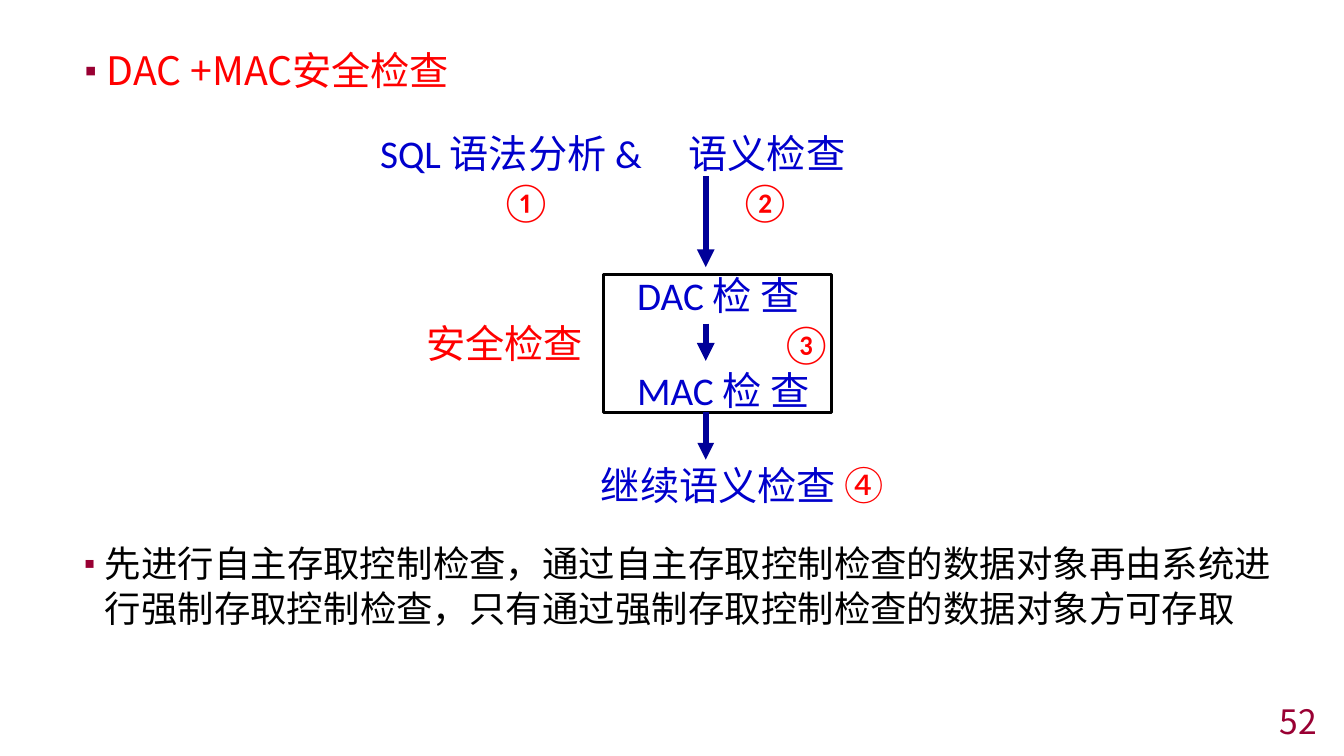
import pptx
import pptx.util
import pptx.dml.color
import pptx.enum.shapes
import pptx.enum.text
import pptx.oxml.ns
from lxml import etree

Inches, Pt = pptx.util.Inches, pptx.util.Pt
Align = pptx.enum.text.PP_ALIGN
qn = pptx.oxml.ns.qn

HUES = {"red": "FF0000", "blue": "0000CC", "navy": "000099",
        "wine": "990033", "black": "000000"}
SANS, SERIF, LATIN = "Noto Sans CJK SC", "Times New Roman", "Calibri"


def tint(name):
    return pptx.dml.color.RGBColor.from_string(HUES[name])


def text(runs, left, mid, width, size=28, font=LATIN, high=0.56,
         align=Align.LEFT, pitch=None, bullet=False):
    """Add a text box centred on height mid; runs are (words, hue[, font])."""
    box = slide.shapes.add_textbox(Inches(left), Inches(mid - high / 2),
                                   Inches(width), Inches(high))
    frame = box.text_frame
    frame.word_wrap = True
    frame.margin_left = frame.margin_right = 0
    frame.margin_top = frame.margin_bottom = 0
    frame.vertical_anchor = pptx.enum.text.MSO_ANCHOR.MIDDLE
    para = frame.paragraphs[0]
    para.alignment = align
    if pitch:
        para.line_spacing = Pt(pitch)
    for words, hue, *face in runs:
        run = para.add_run()
        run.text = words
        run.font.size = Pt(size)
        run.font.name = face[0] if face else font
        run.font.color.rgb = tint(hue)
        etree.SubElement(run.font._element, qn("a:ea"), typeface=SANS)
    if bullet:
        props = para._p.get_or_add_pPr()
        props.set("marL", str(Inches(0.29)))
        props.set("indent", str(Inches(-0.29)))
        color = etree.SubElement(props, qn("a:buClr"))
        etree.SubElement(color, qn("a:srgbClr"), val=HUES["wine"])
        etree.SubElement(props, qn("a:buSzPct"), val="80000")
        etree.SubElement(props, qn("a:buFont"), typeface=SANS)
        etree.SubElement(props, qn("a:buChar"), char="▪")


deck = pptx.Presentation()
deck.slide_width, deck.slide_height = Inches(13.33), Inches(7.5)
slide = deck.slides.add_slide(deck.slide_layouts[6])

# Heading and closing point
text([("DAC +MAC安全检查", "red")], 0.75, 0.69, 12, font=SANS, bullet=True)
parts = ["先进行", "自主存取控制", "检查，通过", "自主存取控制",
         "检查的数据对象再由系统进行", "强制存取控制", "检查，只有通过",
         "强制存取控制", "检查的数据对象方可存取"]
text([(part, "black", (SERIF, SANS)[i % 2]) for i, part in enumerate(parts)],
     0.75, 5.8, 12.07, size=26, high=0.89, pitch=32, bullet=True)

# Frame around the security checks
frame = slide.shapes.add_shape(pptx.enum.shapes.MSO_SHAPE.RECTANGLE,
                               Inches(5.99), Inches(2.72),
                               Inches(2.26), Inches(1.37))
frame.shadow.inherit = False
frame.fill.background()
frame.line.color.rgb = tint("black")
frame.line.width = Pt(2.25)

# Labels of the flow: row, left, width, runs, font
labels = [
    (0, 3.77, 2.95, [("SQL 语法分析 &", "blue")], LATIN),
    (0, 6.83, 1.8, [("语义检查", "blue")], LATIN),
    (1, 4.96, 0.5, [("①", "red")], LATIN),
    (1, 7.33, 0.5, [("②", "red")], LATIN),
    (3, 6.32, 1.9, [("DAC 检 查", "blue")], LATIN),
    (4, 4.23, 1.7, [("安全检查", "red")], SANS),
    (4, 7.74, 0.5, [("③", "red")], LATIN),
    (5, 6.32, 1.9, [("MAC 检 查", "blue")], LATIN),
    (7, 5.96, 3.2, [("继续语义检查 ", "blue"), ("④", "red")], LATIN),
]
for row, left, width, runs, font in labels:
    text(runs, left, 1.52 + 0.47 * row, width, font=font)

# Arrows down the flow
for top, end, weight in [(1.75, 2.65, 4.25), (3.21, 3.58, 4.25),
                         (4.09, 4.56, 4)]:
    arrow = slide.shapes.add_connector(
        pptx.enum.shapes.MSO_CONNECTOR.STRAIGHT,
        Inches(7), Inches(top), Inches(7), Inches(end))
    arrow.line.color.rgb = tint("navy")
    arrow.line.width = Pt(weight)
    etree.SubElement(arrow.line._get_or_add_ln(), qn("a:tailEnd"),
                     type="triangle")
    etree.SubElement(arrow._element.spPr, qn("a:effectLst"))

# Page number
text([("52", "wine")], 10.33, 7.15, 2.73, size=24, font=SANS, high=0.31,
     align=Align.RIGHT)

deck.save("out.pptx")
